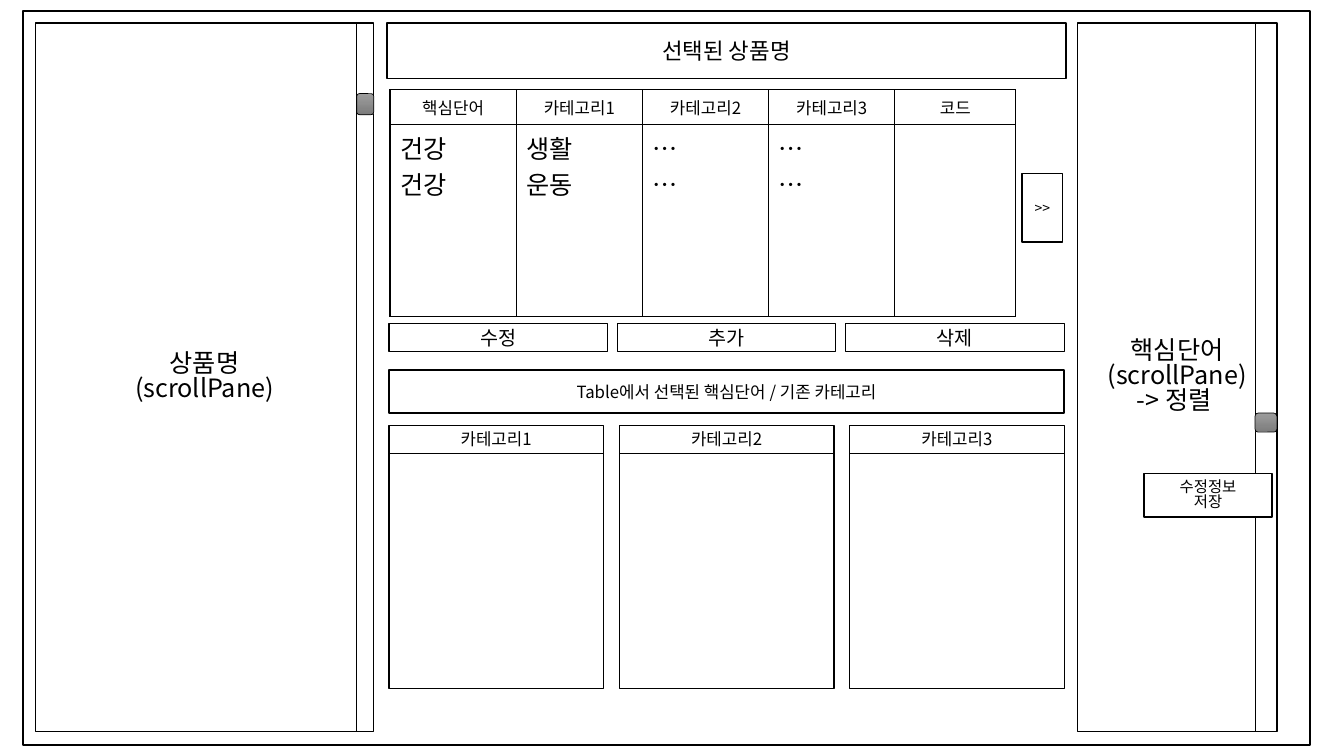
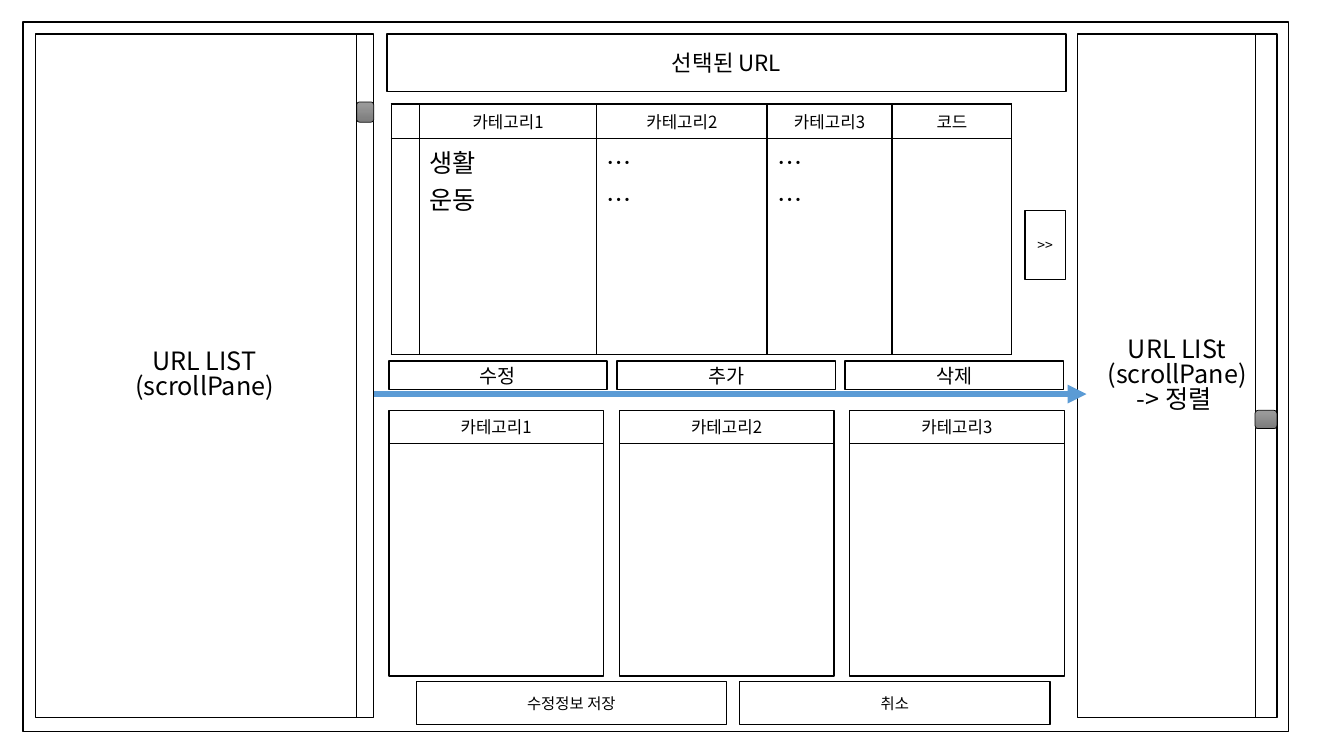
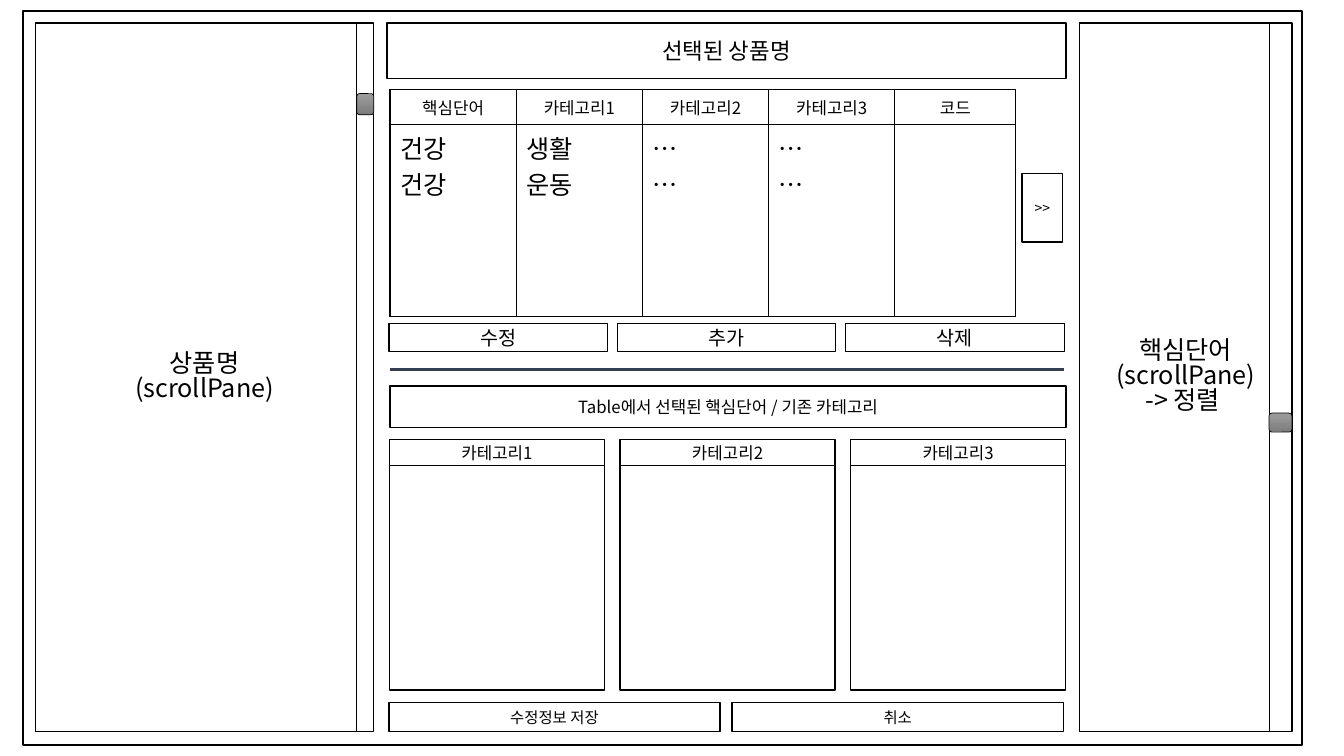
from lxml.etree import SubElement
from pptx import Presentation
from pptx.dml.color import RGBColor
from pptx.enum.shapes import MSO_CONNECTOR, MSO_SHAPE
from pptx.enum.text import MSO_ANCHOR, PP_ALIGN
from pptx.oxml.ns import qn
from pptx.util import Cm, Pt

FONT = "Noto Sans CJK KR"
BLACK, WHITE, BLUE, SLATE = "000000", "FFFFFF", "5B9BD5", "333F50"
THUMB_TOP, THUMB_BOTTOM = "9D9D9D", "7C7C7C"
CATEGORIES = ["카테고리1", "카테고리2", "카테고리3"]
EDIT_LABELS = ["수정", "추가", "삭제"]
SAVE_LABELS = ["수정정보 저장", "취소"]
SELECTED = "Table에서 선택된 핵심단어 / 기존 카테고리"
PRODUCT_LIST = ["상품명", "(scrollPane)"]
KEYWORD_LIST = ["핵심단어", "(scrollPane)", "-> 정렬 "]
DOTS = ["…", "…"]
WORD_HEADS = ["핵심단어", *CATEGORIES, "코드"]
WORD_BODY = [["건강", "건강"], ["생활", "운동"], DOTS, DOTS, []]
WORD_COLUMNS = [3.18, 3.18, 3.18, 3.18, 3.05]
URL_HEADS = ["", *CATEGORIES, "코드"]
URL_BODY = [[], ["생활", "운동"], DOTS, DOTS, []]
URL_COLUMNS = [0.71, 4.47, 4.29, 3.15, 3.02]
HEAD_HEIGHT = 0.69


def colour(code):
    """Turn a hex string into a colour."""
    return RGBColor.from_string(code)


def write(frame, lines, size, align=PP_ALIGN.CENTER, spacing=None):
    """Write one paragraph per line into a text frame."""
    frame.word_wrap = True
    for index, line in enumerate(lines):
        paragraph = frame.add_paragraph() if index else frame.paragraphs[0]
        paragraph.alignment = align
        if spacing:
            paragraph.line_spacing = spacing
        run = paragraph.add_run()
        run.text = line
        run.font.size = Pt(size)
        run.font.name = FONT
        run.font.color.rgb = colour(BLACK)
        SubElement(run.font._element, qn("a:ea"), typeface=FONT)


def add_box(slide, box, lines=(), size=12):
    """Draw a white outlined rectangle with centred text."""
    panel = slide.shapes.add_shape(MSO_SHAPE.RECTANGLE, *map(Cm, box))
    panel.shadow.inherit = False
    panel.fill.solid()
    panel.fill.fore_color.rgb = colour(WHITE)
    panel.line.color.rgb = colour(BLACK)
    panel.line.width = Pt(1)
    panel.text_frame.vertical_anchor = MSO_ANCHOR.MIDDLE
    write(panel.text_frame, lines, size, spacing=0.83 if len(lines) > 1 else None)


def add_line(slide, start, end, code=BLACK, width=0.5, arrow=False):
    """Draw a straight line, with an arrowhead at its end if asked."""
    line = slide.shapes.add_connector(MSO_CONNECTOR.STRAIGHT, *map(Cm, (*start, *end)))
    line.line.color.rgb = colour(code)
    line.line.width = Pt(width)
    properties = line._element.spPr
    if arrow:
        SubElement(properties.find(qn("a:ln")), qn("a:tailEnd"), type="triangle")
    SubElement(properties, qn("a:effectLst"))


def add_scroll_pane(slide, box, lines, track, thumb_offset, thumb_height):
    """Draw a list pane with a scroll track and thumb on its right edge."""
    left, top, width, height = box
    track_left = left + width - track
    add_box(slide, box, lines, 18)
    add_line(slide, (track_left, top), (track_left, top + height))
    thumb_box = (track_left, top + thumb_offset, track, thumb_height)
    thumb = slide.shapes.add_shape(MSO_SHAPE.ROUNDED_RECTANGLE, *map(Cm, thumb_box))
    thumb.shadow.inherit = False
    thumb.fill.gradient()
    thumb.fill.gradient_angle = 270
    for stop, code in zip(thumb.fill.gradient_stops, (THUMB_TOP, THUMB_BOTTOM)):
        stop.color.rgb = colour(code)
    thumb.line.color.rgb = colour(BLACK)
    thumb.line.width = Pt(0.5)


def style_cell(cell):
    """Give a cell black borders and no fill."""
    properties = cell._tc.get_or_add_tcPr()
    for side in ("a:lnL", "a:lnR", "a:lnT", "a:lnB"):
        border = SubElement(properties, qn(side), w=str(Pt(1)))
        SubElement(SubElement(border, qn("a:solidFill")), qn("a:srgbClr"), val=BLACK)
    cell.fill.background()


def add_word_table(slide, left, top, columns, heads, body, body_height):
    """Draw the table of categories below the selected item."""
    box = (left, top, sum(columns), HEAD_HEIGHT + body_height)
    table = slide.shapes.add_table(2, len(columns), *map(Cm, box)).table
    table.first_row = table.horz_banding = False
    table.rows[0].height, table.rows[1].height = Cm(HEAD_HEIGHT), Cm(body_height)
    for index, (width, head, lines) in enumerate(zip(columns, heads, body)):
        table.columns[index].width = Cm(width)
        head_cell, body_cell = table.cell(0, index), table.cell(1, index)
        style_cell(head_cell)
        style_cell(body_cell)
        head_cell.vertical_anchor = MSO_ANCHOR.MIDDLE
        if head:
            write(head_cell.text_frame, [head], 12)
        else:
            SubElement(head_cell.text_frame.paragraphs[0]._p, qn("a:endParaRPr"), sz="1200")
        write(body_cell.text_frame, lines, 18, PP_ALIGN.LEFT)


def add_button_row(slide, box, labels, gap, size):
    """Spread equal buttons over the width of a box."""
    left, top, width, height = box
    button_width = (width - gap * (len(labels) - 1)) / len(labels)
    for index, label in enumerate(labels):
        button_left = left + index * (button_width + gap)
        add_box(slide, (button_left, top, button_width, height), [label], size)


def add_category_lists(slide, box, head_height, gap=0.4):
    """Draw one headed list for each category, side by side."""
    left, top, width, height = box
    list_width = (width - gap * (len(CATEGORIES) - 1)) / len(CATEGORIES)
    for index, category in enumerate(CATEGORIES):
        list_left = left + index * (list_width + gap)
        rule = top + head_height
        add_box(slide, (list_left, top, list_width, height))
        add_line(slide, (list_left, rule), (list_left + list_width, rule))
        head_box = (list_left, top, list_width, head_height)
        head = slide.shapes.add_textbox(*map(Cm, head_box)).text_frame
        head.margin_top = head.margin_bottom = 0
        head.vertical_anchor = MSO_ANCHOR.MIDDLE
        write(head, [category], 12)


def add_product_top(slide, frame_width):
    """Draw the window, product list and upper area of a product screen."""
    add_box(slide, (0.58, 0.28, frame_width, 18.49))
    add_scroll_pane(slide, (0.89, 0.58, 8.53, 17.86), PRODUCT_LIST, 0.43, 1.78, 0.53)
    add_box(slide, (9.75, 0.58, 17.12, 1.4), ["선택된 상품명"], 16)
    add_word_table(slide, 9.83, 2.26, WORD_COLUMNS, WORD_HEADS, WORD_BODY, 4.85)
    add_box(slide, (25.76, 4.37, 1.02, 1.73), [">>"], 10)
    add_button_row(slide, (9.8, 8.15, 17.02, 0.71), EDIT_LABELS, 0.25, 14)


def build_product_screen(slide):
    """Build the product screen with its save button in the keyword pane."""
    add_product_top(slide, 32.44)
    add_scroll_pane(slide, (27.15, 0.58, 5.03, 17.86), KEYWORD_LIST, 0.55, 9.83, 0.48)
    add_box(slide, (9.8, 9.32, 17.02, 1.09), [SELECTED])
    add_category_lists(slide, (9.8, 10.72, 17.02, 6.63), 0.7)
    add_box(slide, (28.83, 11.94, 3.23, 1.09), ["수정정보", "저장"], 11)


def build_url_screen(slide):
    """Build the URL screen."""
    add_box(slide, (0.58, 0.56, 31.9, 17.88))
    add_scroll_pane(slide, (0.89, 0.86, 8.53, 17.22), ["URL LIST", "(scrollPane)"],
                    0.43, 1.71, 0.51)
    add_scroll_pane(slide, (27.15, 0.86, 5.03, 17.22),
                    ["URL LISt", "(scrollPane)", "-> 정렬 "], 0.55, 9.48, 0.46)
    add_box(slide, (9.75, 0.86, 17.12, 1.45), ["선택된 URL"], 16)
    add_word_table(slide, 9.86, 2.62, URL_COLUMNS, URL_HEADS, URL_BODY, 5.44)
    add_box(slide, (25.83, 5.31, 1.02, 1.73), [">>"], 10)
    add_button_row(slide, (9.8, 9.1, 17, 0.71), EDIT_LABELS, 0.25, 14)
    add_category_lists(slide, (9.8, 10.34, 17.02, 6.7), 0.83)
    add_button_row(slide, (10.49, 17.17, 15.97, 1.09), SAVE_LABELS, 0.33, 11)
    add_line(slide, (9.42, 9.93), (27.38, 9.93), BLUE, 4.5, arrow=True)


def build_divided_screen(slide):
    """Build the product screen with a divider and a save row."""
    add_product_top(slide, 32.23)
    add_scroll_pane(slide, (27.2, 0.58, 5.36, 17.86), KEYWORD_LIST, 0.58, 9.83, 0.48)
    add_line(slide, (9.83, 9.3), (26.82, 9.3), SLATE, 2.25)
    add_box(slide, (9.83, 9.73, 17.04, 1.04), [SELECTED])
    add_category_lists(slide, (9.82, 11.07, 17.03, 6.32), 0.66)
    add_button_row(slide, (9.8, 17.7, 17, 0.74), SAVE_LABELS, 0.3, 11)


def main():
    """Build and save the presentation."""
    presentation = Presentation()
    presentation.slide_width, presentation.slide_height = Cm(33.87), Cm(19.05)
    blank = presentation.slide_layouts.get_by_name("Blank")
    for build in (build_product_screen, build_url_screen, build_divided_screen):
        build(presentation.slides.add_slide(blank))
    presentation.save("out.pptx")


if __name__ == "__main__":
    main()
